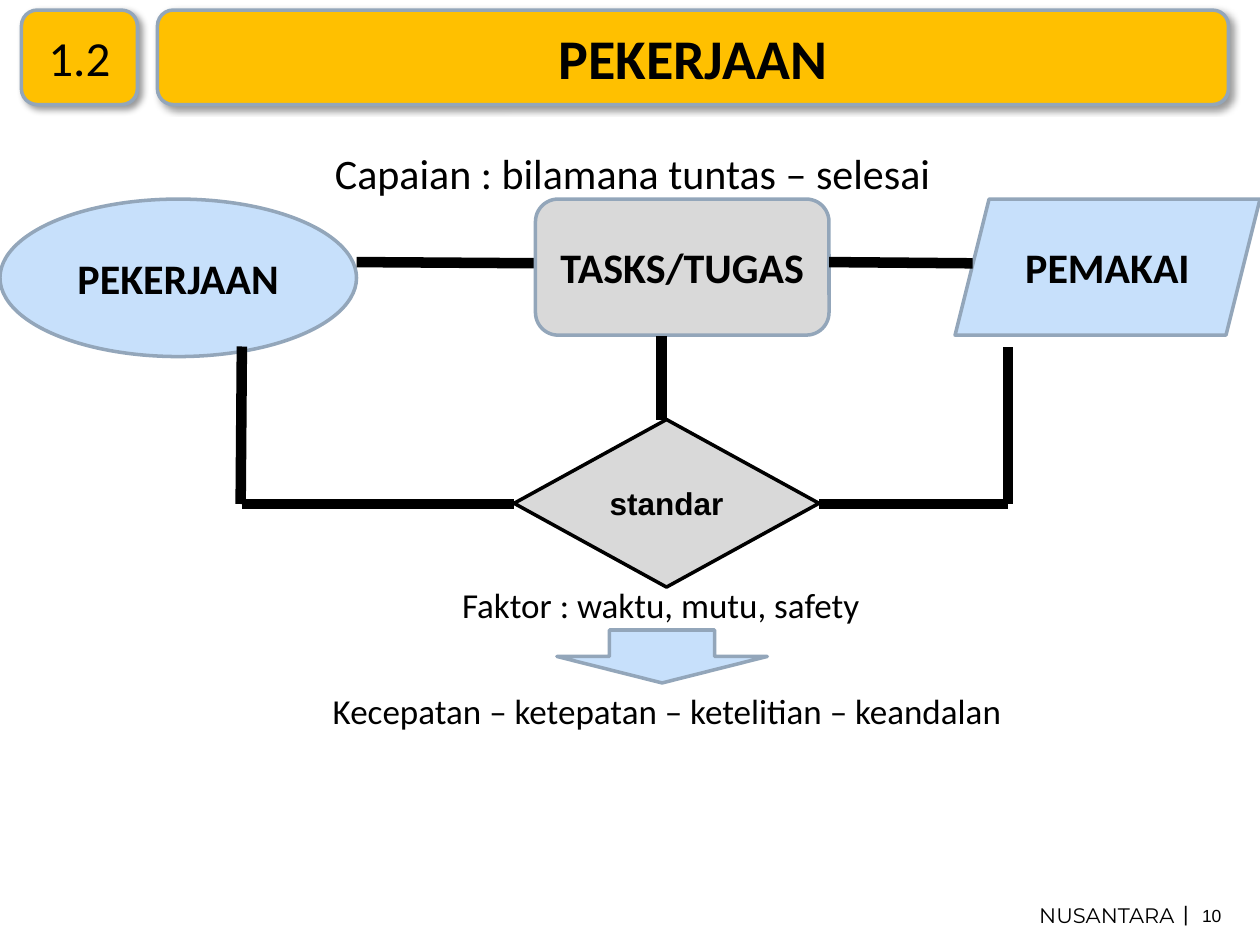
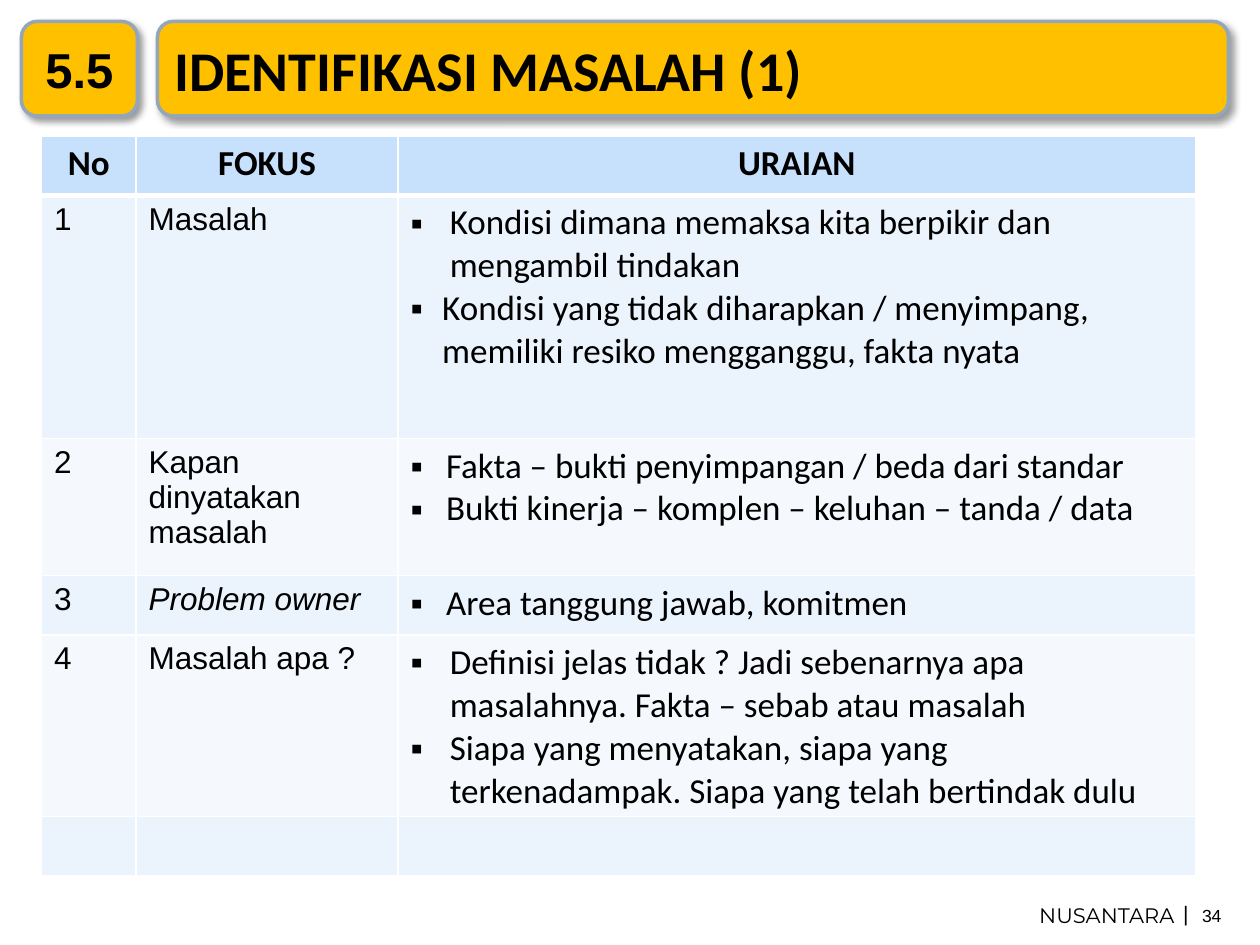
import pptx
import pptx.util
import pptx.dml.color
import pptx.enum.shapes
import pptx.enum.text
import pptx.oxml
import pptx.oxml.ns
from lxml import etree

Inches = pptx.util.Inches
Pt = pptx.util.Pt
Shape = pptx.enum.shapes.MSO_SHAPE
Align = pptx.enum.text.PP_ALIGN
Anchor = pptx.enum.text.MSO_ANCHOR
qn = pptx.oxml.ns.qn

BLACK, WHITE = "000000", "FFFFFF"
GOLD, EDGE = "FFC000", "93A6BA"
BLUE, GREY = "C7E0FB", "D9D9D9"
BANDS = ("EBF3FD", "F5F9FE")
BODY, PLAIN, BRAND = "Calibri", "Arial", "Montserrat"
OWNER = "NUSANTARA"


def color(value):
    return pptx.dml.color.RGBColor.from_string(value)


def add_xml(parent, tag, **attributes):
    return etree.SubElement(parent, qn(tag), attributes)


class Deck:
    """Holds the shared style and the slide being built."""

    def __init__(self):
        self.deck = pptx.Presentation()
        self.deck.slide_width = Inches(10)
        self.deck.slide_height = Inches(7.5)
        self.page = None

    def new_page(self, number, title, slide_number, top, align=Align.CENTER,
                 number_font=BODY, number_bold=False):
        self.page = self.deck.slides.add_slide(self.deck.slide_layouts[6])
        # Footer
        self.text(8.11, 7.11, 1.35, 0.31, OWNER, 12, BRAND)
        self.text(9.39, 7.14, 0.04, 0.21, "|", 12, PLAIN, Align.RIGHT,
                  tight=True, anchor=Anchor.MIDDLE)
        self.text(9.54, 7.18, 0.22, 0.17, slide_number, 10, PLAIN, Align.LEFT, tight=True)
        # Title band and section number
        band = self.shape(Shape.ROUNDED_RECTANGLE, 1.25, top, 8.5, 0.75, GOLD,
                          title, 32, align=align)
        badge = self.shape(Shape.ROUNDED_RECTANGLE, 0.17, top, 0.92, 0.75, GOLD,
                           number, 28, font=number_font, bold=number_bold)
        for box in (band, badge):
            self.cast_shadow(box)

    def fill_paragraph(self, para, text, size, font=BODY, bold=False, italic=False,
                       align=None):
        para.text = text
        para.alignment = align
        for span in para.runs:
            span.font.size = Pt(size)
            span.font.name = font
            span.font.bold = bold
            span.font.italic = italic
            span.font.color.rgb = color(BLACK)

    def text(self, left, top, width, height, text, size, font=BODY, align=Align.CENTER,
             tight=False, anchor=Anchor.TOP, left_inset=0.1, line_spacing=None):
        box = self.page.shapes.add_textbox(
            Inches(left), Inches(top), Inches(width), Inches(height))
        frame = box.text_frame
        frame.word_wrap = not tight
        frame.vertical_anchor = anchor
        frame.margin_left = Inches(left_inset)
        if tight:
            frame.margin_left = frame.margin_right = 0
            frame.margin_top = frame.margin_bottom = 0
        self.fill_paragraph(frame.paragraphs[0], text, size, font, align=align)
        if line_spacing:
            frame.paragraphs[0].line_spacing = line_spacing

    def shape(self, kind, left, top, width, height, fill, text="", size=24,
              font=BODY, bold=True, align=Align.CENTER, line=EDGE):
        box = self.page.shapes.add_shape(
            kind, Inches(left), Inches(top), Inches(width), Inches(height))
        box.shadow.inherit = False
        box.fill.solid()
        box.fill.fore_color.rgb = color(fill)
        box.line.color.rgb = color(line)
        box.line.width = Pt(2)
        if text:
            box.text_frame.vertical_anchor = Anchor.MIDDLE
            self.fill_paragraph(box.text_frame.paragraphs[0], text, size, font, bold,
                                align=align)
        return box

    def cast_shadow(self, box):
        effects = box._element.spPr.find(qn("a:effectLst"))
        shadow = add_xml(effects, "a:outerShdw", blurRad=str(Pt(4)), dist=str(Pt(3)),
                         dir="2700000", algn="tl", rotWithShape="0")
        add_xml(add_xml(shadow, "a:srgbClr", val=BLACK), "a:alpha", val="40000")

    def line(self, x1, y1, x2, y2):
        link = self.page.shapes.add_connector(
            pptx.enum.shapes.MSO_CONNECTOR.STRAIGHT,
            Inches(x1), Inches(y1), Inches(x2), Inches(y2))
        link.line.color.rgb = color(BLACK)
        link.line.width = Pt(6)
        add_xml(link._element.spPr, "a:effectLst")

    def bullet(self, para, indent):
        properties = para._p.get_or_add_pPr()
        properties.set("marL", str(Inches(indent)))
        properties.set("indent", str(-Inches(indent)))
        add_xml(properties, "a:buFont", typeface=PLAIN)
        add_xml(properties, "a:buChar", char="▪")

    def style_cell(self, cell, fill, top_width, bottom_width):
        cell.fill.solid()
        cell.fill.fore_color.rgb = color(fill)
        properties = cell._tc.get_or_add_tcPr()
        widths = {"a:lnL": 1, "a:lnR": 1, "a:lnT": top_width, "a:lnB": bottom_width}
        for position, (tag, width) in enumerate(widths.items()):
            border = add_xml(properties, tag, w=str(Pt(width)))
            add_xml(add_xml(border, "a:solidFill"), "a:srgbClr", val=WHITE)
            properties.insert(position, border)

    def table(self, left, top, widths, heights, headings, rows):
        frame = self.page.shapes.add_table(
            len(heights), len(widths), Inches(left), Inches(top),
            Inches(sum(widths)), Inches(sum(heights)))
        grid = frame.table
        grid.first_row = grid.horz_banding = False
        for column, width in zip(grid.columns, widths):
            column.width = Inches(width)
        for index, height in enumerate(heights):
            grid.rows[index].height = Inches(height)
            fill = BANDS[(index - 1) % 2] if index else BLUE
            for cell in grid.rows[index].cells:
                self.style_cell(cell, fill, 3 if index == 1 else 1, 1 if index else 3)
        for column, heading in enumerate(headings):
            self.fill_paragraph(grid.cell(0, column).text_frame.paragraphs[0], heading, 20,
                                bold=True, align=Align.CENTER)
        for index, (focus, style, points) in enumerate(rows, 1):
            number_para, focus_para = (
                grid.cell(index, column).text_frame.paragraphs[0] for column in (0, 1))
            self.fill_paragraph(number_para, str(index), 18, PLAIN)
            self.fill_paragraph(focus_para, focus, 18, PLAIN, **style)
            text_frame = grid.cell(index, 2).text_frame
            for order, (indent, point) in enumerate(points):
                para = text_frame.add_paragraph() if order else text_frame.paragraphs[0]
                self.bullet(para, indent)
                self.fill_paragraph(para, point, 20)


def build_work_page(deck):
    deck.new_page("1.2", "PEKERJAAN", "10", 0.08)
    # Work, tasks and user
    deck.shape(Shape.OVAL, 0, 1.58, 2.83, 1.25, BLUE, "PEKERJAAN")
    deck.line(2.83, 2.08, 4.33, 2.09)
    deck.shape(Shape.ROUNDED_RECTANGLE, 4.25, 1.58, 2.33, 1.08, GREY, "TASKS/TUGAS")
    deck.shape(Shape.PARALLELOGRAM, 7.58, 1.58, 2.42, 1.08, BLUE, "PEMAKAI")
    deck.line(6.58, 2.08, 7.72, 2.09)
    # Standard and its links
    deck.shape(Shape.FLOWCHART_DECISION, 4.08, 3.33, 2.42, 1.33, GREY, "standar", 18,
               PLAIN, line=BLACK)
    for ends in ((1.92, 4, 4.08, 4), (6.5, 4, 8, 4), (8, 4, 8, 2.75),
                 (1.91, 4, 1.92, 2.75), (5.25, 3.33, 5.25, 2.67)):
        deck.line(*ends)
    # Factors and results
    deck.text(3.33, 4.58, 3.83, 0.44, "Faktor : waktu, mutu, safety", 20)
    deck.shape(Shape.DOWN_ARROW, 4.42, 5, 1.67, 0.42, BLUE)
    deck.text(1.63, 5.42, 7.33, 0.44, "Kecepatan – ketepatan – ketelitian – keandalan", 20)
    deck.text(0, 0.92, 9.67, 0.64, "Capaian : bilamana tuntas – selesai", 24,
              left_inset=0.47, line_spacing=1.5)


def build_problem_page(deck):
    deck.new_page("5.5", "IDENTIFIKASI MASALAH (1)", "34", 0.17, Align.JUSTIFY, PLAIN, True)
    rows = [
        ("Masalah", {}, [
            (0.31, "Kondisi dimana memaksa kita berpikir dan mengambil tindakan"),
            (0.25, "Kondisi yang tidak diharapkan / menyimpang, "
                   "memiliki resiko mengganggu, fakta nyata")]),
        ("Kapan dinyatakan masalah", {"align": Align.JUSTIFY}, [
            (0.28, "Fakta – bukti penyimpangan / beda dari standar"),
            (0.28, "Bukti kinerja – komplen – keluhan – tanda / data")]),
        ("Problem owner", {"italic": True}, [
            (0.28, "Area tanggung jawab, komitmen")]),
        ("Masalah apa ?", {}, [
            (0.31, "Definisi jelas tidak ? Jadi sebenarnya apa masalahnya. "
                   "Fakta – sebab atau masalah"),
            (0.31, "Siapa yang menyatakan, siapa yang terkenadampak. "
                   "Siapa yang telah bertindak dulu")]),
    ]
    deck.table(0.33, 1.08, (0.75, 2.08, 6.33), (0.47, 1.93, 1.09, 0.47, 1.44, 0.47),
               ("No", "FOKUS", "URAIAN"), rows)


def main():
    deck = Deck()
    build_work_page(deck)
    build_problem_page(deck)
    deck.deck.save("out.pptx")


if __name__ == "__main__":
    main()
